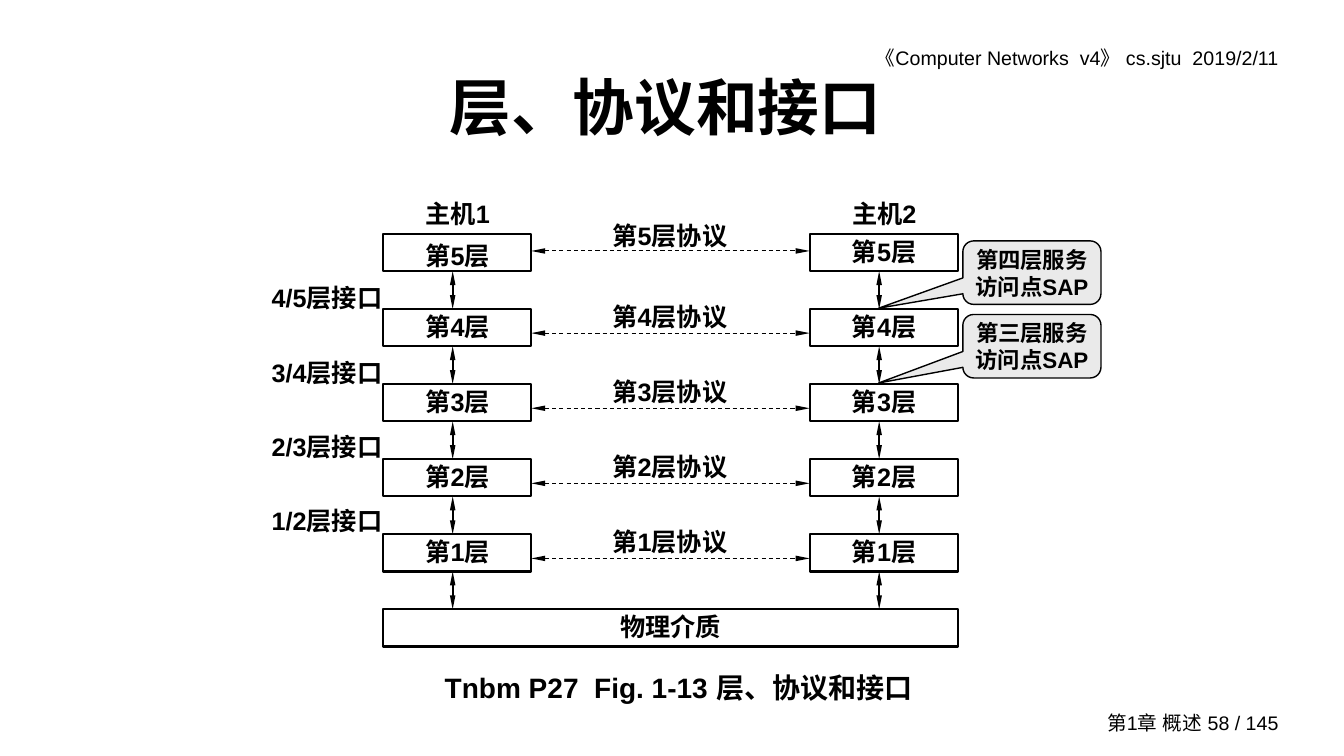
from dataclasses import dataclass

from lxml import etree
from pptx import Presentation
from pptx import util as u
from pptx.dml.color import RGBColor
from pptx.enum import dml, lang, shapes, text
from pptx.oxml import ns


@dataclass(frozen=True)
class Theme:
    ink: RGBColor = RGBColor(0, 0, 0)
    paper: RGBColor = RGBColor(255, 255, 255)
    callout: RGBColor = RGBColor(0xEA, 0xEA, 0xEA)
    body_font: str = "Arial"
    title_font: str = "Noto Sans CJK SC"
    title: int = 44
    caption: int = 20
    label: int = 18
    note: int = 16
    running: int = 14
    box_line: float = 1.5
    callout_line: float = 1
    protocol_line: float = 0.75


THEME = Theme()
LEFT, CENTER, RIGHT = text.PP_ALIGN.LEFT, text.PP_ALIGN.CENTER, text.PP_ALIGN.RIGHT
LAYERS = (5, 4, 3, 2, 1)
ROW_PITCH = 0.745
BOX_WIDTH, BOX_HEIGHT = 1.47, 0.37
HOST_GAP = 4.23
ARROW_OFFSET = 0.69


def apply(target, values):
    for name, value in values.items():
        setattr(target, name, value)


def inches(*lengths):
    return [u.Inches(length) for length in lengths]


def write(shape, lines, size, align=CENTER, bold=True, font=THEME.body_font,
          spacing=None, insets=(0.1, 0.05, 0.1, 0.05)):
    margins = ("margin_left", "margin_top", "margin_right", "margin_bottom")
    frame = shape.text_frame
    apply(frame, {"word_wrap": True, "vertical_anchor": text.MSO_ANCHOR.MIDDLE})
    apply(frame, dict(zip(margins, inches(*insets))))
    for index, line in enumerate(lines):
        paragraph = frame.add_paragraph() if index else frame.paragraphs[0]
        apply(paragraph, {"alignment": align, "line_spacing": spacing})
        run = paragraph.add_run()
        run.text = line
        apply(run.font, {"name": font, "size": u.Pt(size), "bold": bold,
                         "language_id": lang.MSO_LANGUAGE_ID.SIMPLIFIED_CHINESE})
        run.font.color.rgb = THEME.ink
        east_asian = etree.SubElement(run.font._element, ns.qn("a:ea"))
        east_asian.set("typeface", font)


def add_label(slide, box, line, size=THEME.label, **options):
    write(slide.shapes.add_textbox(*inches(*box)), [line], size, **options)


def add_box(slide, kind, box, fill, width):
    shape = slide.shapes.add_shape(kind, *inches(*box))
    shape.shadow.inherit = False
    shape.fill.solid()
    shape.fill.fore_color.rgb = fill
    shape.line.color.rgb = THEME.ink
    shape.line.width = u.Pt(width)
    return shape


def add_arrow(slide, start, end, width, dash=None):
    arrow = slide.shapes.add_connector(
        shapes.MSO_CONNECTOR.STRAIGHT, *inches(*start, *end))
    arrow.line.color.rgb = THEME.ink
    apply(arrow.line, {"width": u.Pt(width), "dash_style": dash})
    for tag in ("a:headEnd", "a:tailEnd"):
        tip = etree.SubElement(arrow.line._get_or_add_ln(), ns.qn(tag))
        for name, value in {"type": "triangle", "w": "sm", "len": "lg"}.items():
            tip.set(name, value)
    etree.SubElement(arrow._element.spPr, ns.qn("a:effectLst"))


def add_host(slide, left, top, name, top_spacing):
    add_label(slide, (left - 0.08, top - BOX_HEIGHT, 1.64, BOX_HEIGHT), name,
              spacing=0.96)
    for row, layer in enumerate(LAYERS):
        y = top + row * ROW_PITCH
        shape = add_box(slide, shapes.MSO_SHAPE.RECTANGLE,
                        (left, y, BOX_WIDTH, BOX_HEIGHT), THEME.paper, THEME.box_line)
        write(shape, [f"第{layer}层"], THEME.label, align=LEFT,
              spacing=0.96 if row else top_spacing, insets=(0.42, 0.05, 0.1, 0.05))
        x = left + ARROW_OFFSET
        add_arrow(slide, (x, y + BOX_HEIGHT), (x, y + ROW_PITCH), THEME.box_line)


def add_protocols(slide, left, top, width):
    for row, layer in enumerate(LAYERS):
        y = top + row * ROW_PITCH
        label_rise, arrow_drop = (0.1, 0.24) if row else (0.16, 0.17)
        add_label(slide, (left + 0.34, y - label_rise, 2.07, BOX_HEIGHT),
                  f"第{layer}层协议", spacing=0.96)
        add_arrow(slide, (left, y + arrow_drop), (left + width, y + arrow_drop),
                  THEME.protocol_line, dml.MSO_LINE.DASH)


def add_interfaces(slide, left, top):
    shape = slide.shapes.add_textbox(*inches(left, top, BOX_WIDTH, 3.33))
    lines = [f"{layer - 1}/{layer}层接口" for layer in LAYERS[:-1]]
    write(shape, lines, THEME.label, align=RIGHT, spacing=u.Pt(53))
    shape.text_frame.vertical_anchor = text.MSO_ANCHOR.TOP


def add_access_points(slide, left, top):
    for row, (layer, tip) in enumerate((("四", 0.56), ("三", 0.58))):
        shape = add_box(slide, shapes.MSO_SHAPE.ROUNDED_RECTANGULAR_CALLOUT,
                        (left, top + row * 0.73, 1.37, 0.63),
                        THEME.callout, THEME.callout_line)
        for index, value in enumerate((-1.11, tip, 0.17)):
            shape.adjustments[index] = value
        write(shape, [f"第{layer}层服务访问点SAP"], THEME.note, insets=(0.02,) * 4)


def add_diagram(slide, left, top):
    add_host(slide, left, top, "主机1", 1.2)
    add_host(slide, left + HOST_GAP, top, "主机2", 0.96)
    medium = add_box(slide, shapes.MSO_SHAPE.RECTANGLE,
                     (left, top + len(LAYERS) * ROW_PITCH,
                      HOST_GAP + BOX_WIDTH, BOX_HEIGHT),
                     THEME.paper, THEME.box_line)
    write(medium, ["物理介质"], THEME.label, spacing=0.96)
    add_protocols(slide, left + BOX_WIDTH, top, HOST_GAP - BOX_WIDTH)
    add_interfaces(slide, left - 1.38, top)
    add_access_points(slide, left + 5.75, top + 0.07)
    add_label(slide, (left + 0.17, top + 4.28, 5.52, 0.43),
              "Tnbm P27  Fig. 1-13 层、协议和接口", THEME.caption)


def add_frame(slide, right):
    running = {"size": THEME.running, "align": RIGHT, "bold": False}
    add_label(slide, (right - 5.64, 0.4, 5.64, 0.34),
              "《Computer Networks  v4》 cs.sjtu  2019/2/11", **running)
    add_label(slide, (right - 2.78, 7, 2.78, 0.33), "第1章 概述 58 / 145", **running)
    add_label(slide, (2.42, 0.42, 8.5, 1.25), "层、协议和接口 ", THEME.title,
              font=THEME.title_font)


def main():
    presentation = Presentation()
    apply(presentation, {"slide_width": u.Inches(13.33),
                         "slide_height": u.Inches(7.5)})
    slide = presentation.slides.add_slide(presentation.slide_layouts[6])
    add_frame(slide, 12.78)
    add_diagram(slide, 3.8, 2.32)
    presentation.save("out.pptx")


if __name__ == "__main__":
    main()
